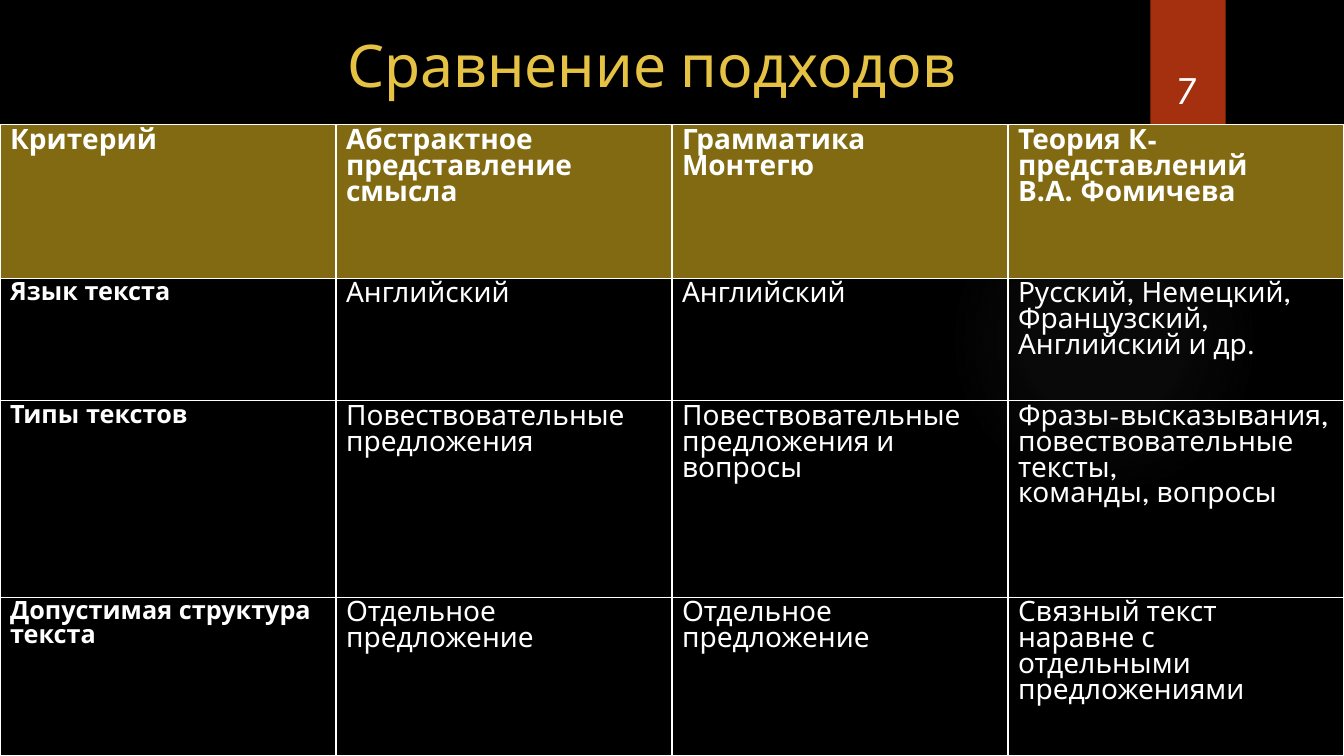
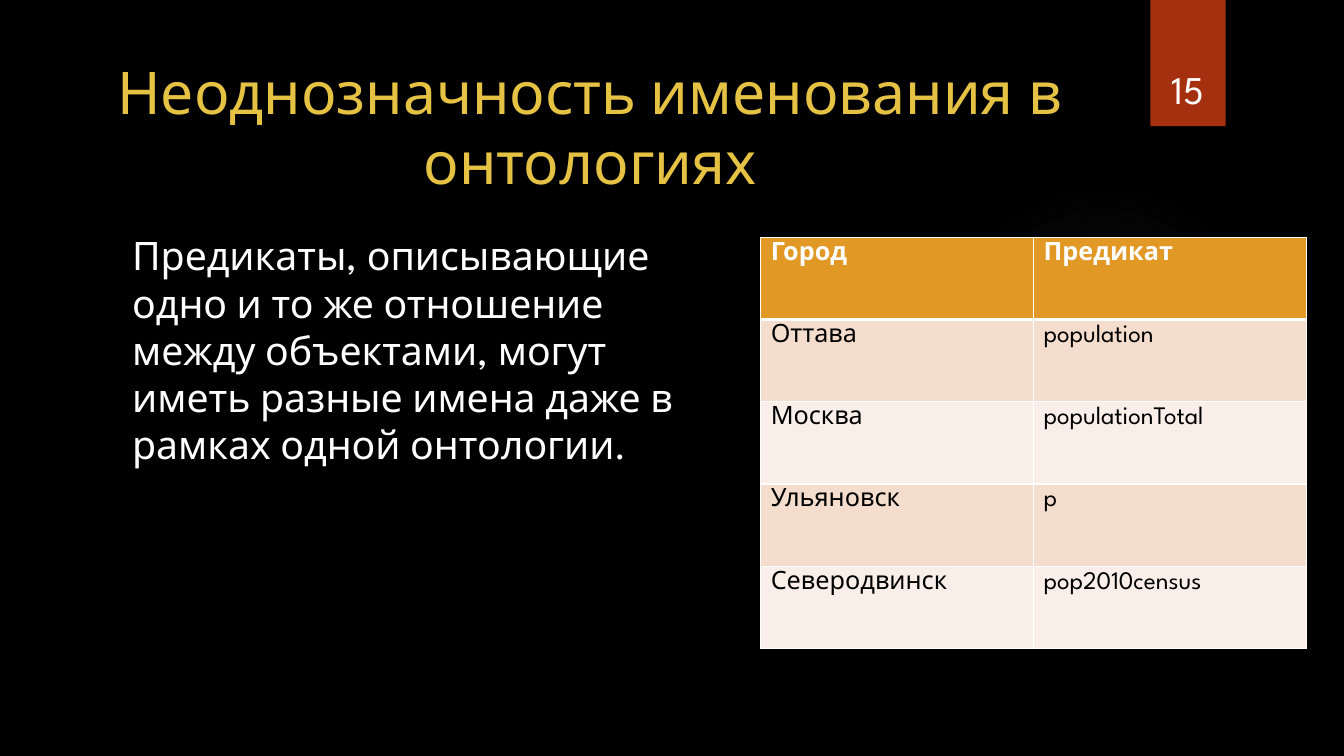
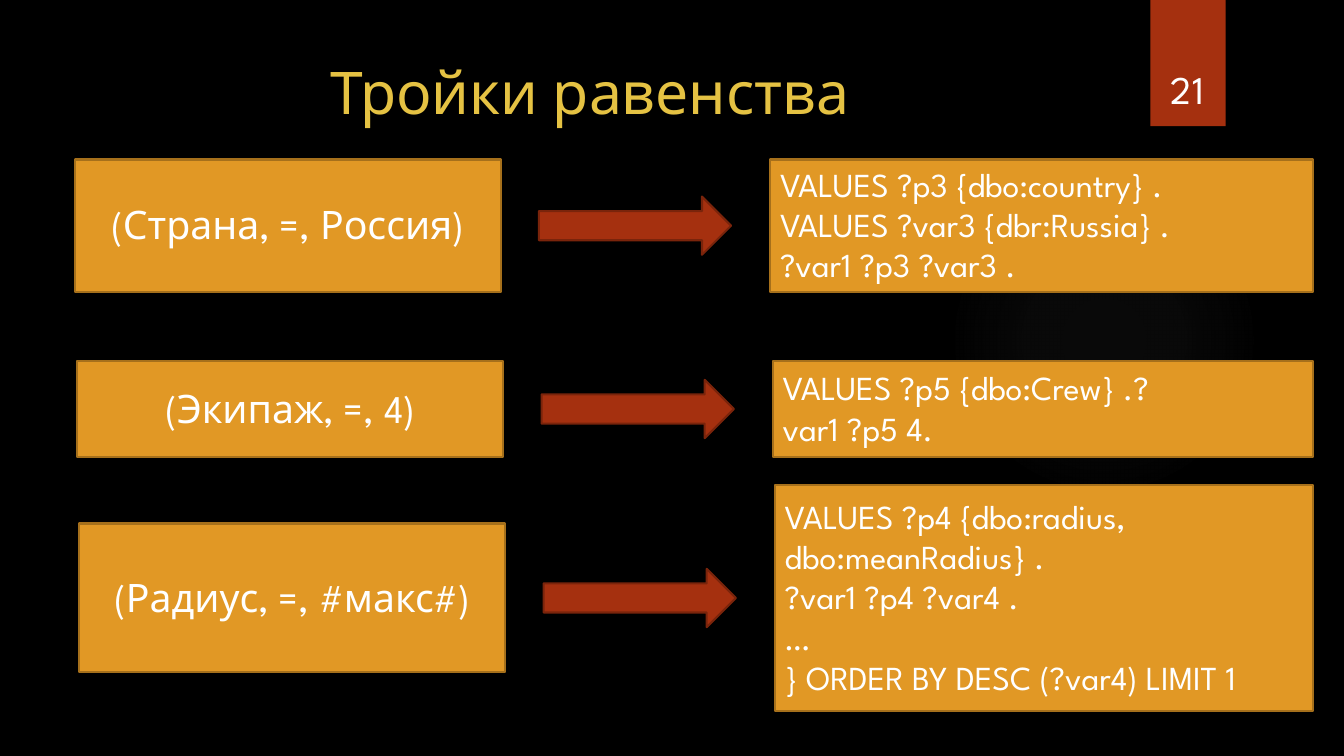
from lxml import etree
from pptx import Presentation
from pptx.dml.color import RGBColor
from pptx.enum.shapes import MSO_SHAPE as SHAPE
from pptx.enum.text import MSO_ANCHOR as ANCHOR, PP_ALIGN as ALIGN
from pptx.oxml.ns import qn
from pptx.util import Inches, Pt

FONT = "League Spartan"
COLORS = {
    "back": "000000", "text": "FFFFFF", "title": "E5C243", "glow": "848484",
    "red": "A5300F", "red_line": "7A240B", "amber": "E19825", "amber_line": "A6701B",
    "olive": "826A12", "dark_band": "F4DDCD", "light_band": "F9EFE8",
}


def rgb(name):
    return RGBColor.from_string(COLORS[name])


def write(frame, content, size=28, color="text", bold=False,
          align=ALIGN.LEFT, anchor=ANCHOR.TOP, before=None):
    """Fill a text frame; a newline starts a paragraph, a vertical tab breaks a line."""
    frame.word_wrap = True
    frame.vertical_anchor = anchor
    for index, line in enumerate(content.split("\n")):
        paragraph = frame.add_paragraph() if index else frame.paragraphs[0]
        paragraph.text = line
        paragraph.alignment = align
        paragraph.space_before = before
        for run in paragraph.runs:
            font = run.font
            font.name, font.size, font.bold = FONT, Pt(size), bold
            font.color.rgb = rgb(color)


def set_borders(cell, top=1, bottom=1):
    properties = cell._tc.get_or_add_tcPr()
    sides = (("a:lnL", 1), ("a:lnR", 1), ("a:lnT", top), ("a:lnB", bottom))
    for index, (side, width) in enumerate(sides):
        line = etree.Element(qn(side), w=str(Pt(width)))
        fill = etree.SubElement(line, qn("a:solidFill"))
        etree.SubElement(fill, qn("a:srgbClr"), val=COLORS["text"])
        properties.insert(index, line)


def set_glow(shape):
    """Replace the fill with a radial gradient that fades to transparent."""
    gradient = etree.Element(qn("a:gradFill"), rotWithShape="1")
    stops = etree.SubElement(gradient, qn("a:gsLst"))
    for position, alpha in ((0, 7), (36, 6), (69, 0)):
        stop = etree.SubElement(stops, qn("a:gs"), pos=str(position * 1000))
        color = etree.SubElement(stop, qn("a:srgbClr"), val=COLORS["glow"])
        etree.SubElement(color, qn("a:alpha"), val=str(alpha * 1000))
    radial = etree.SubElement(gradient, qn("a:path"), {"path": "circle"})
    etree.SubElement(radial, qn("a:fillToRect"), dict.fromkeys("ltrb", "50000"))
    solid = shape._element.spPr.find(qn("a:solidFill"))
    solid.getparent().replace(solid, gradient)


class Deck:
    """Holds the style and the current slide; lengths are percent of the slide's size."""

    def __init__(self):
        self.file = Presentation()
        self.file.slide_width, self.file.slide_height = Inches(13.33), Inches(7.5)
        self.slide = None

    def width(self, share):
        return round(self.file.slide_width * share / 100)

    def height(self, share):
        return round(self.file.slide_height * share / 100)

    def area(self, left, top, width, height):
        return self.width(left), self.height(top), self.width(width), self.height(height)

    def new_slide(self, title, title_area=(5.3, 6.65, 77.2, 20.4)):
        self.slide = self.file.slides.add_slide(self.file.slide_layouts[6])
        background = self.slide.background.fill
        background.solid()
        background.fore_color.rgb = rgb("back")
        set_glow(self.shape(SHAPE.OVAL, (70.6, 24.4, 23.1, 41.1), "glow"))
        self.shape(SHAPE.RECTANGLE, (85.6, 0, 5.6, 16.7), "red")
        self.text(title, title_area, size=42, color="title", align=ALIGN.CENTER)

    def number(self, value):
        self.text(str(value), (84.9, 4.3, 6.9, 11.2),
                  align=ALIGN.CENTER, anchor=ANCHOR.BOTTOM)

    def shape(self, preset, area, fill, line=None):
        shape = self.slide.shapes.add_shape(preset, *self.area(*area))
        shape.shadow.inherit = False
        shape.fill.solid()
        shape.fill.fore_color.rgb = rgb(fill)
        if line:
            shape.line.color.rgb = rgb(line)
            shape.line.width = Pt(1.5)
        else:
            shape.line.fill.background()
        return shape

    def text(self, content, area, **style):
        box = self.slide.shapes.add_textbox(*self.area(*area))
        write(box.text_frame, content, **style)

    def table(self, rows, area, heights, fills, style_of, header_rule=1):
        """style_of(row, column) gives the text format; a fill of None is transparent."""
        left, top, width = area
        table = self.slide.shapes.add_table(
            len(rows), len(rows[0]), *self.area(left, top, width, sum(heights))).table
        table.first_row = table.horz_banding = False
        for r, (contents, height, fill) in enumerate(zip(rows, heights, fills)):
            table.rows[r].height = self.height(height)
            for c, content in enumerate(contents):
                cell = table.cell(r, c)
                write(cell.text_frame, content, **style_of(r, c))
                if fill:
                    cell.fill.solid()
                    cell.fill.fore_color.rgb = rgb(fill)
                else:
                    cell.fill.background()
                set_borders(cell, top=header_rule if r == 1 else 1,
                            bottom=header_rule if r == 0 else 1)


def compare_approaches(deck):
    deck.new_slide("Сравнение подходов", (9.9, 3.1, 77.2, 11.3))
    criteria = [
        ("Критерий", "Абстрактное представление смысла", "Грамматика Монтегю",
         "Теория К-представлений \vВ.А. Фомичева"),
        ("Язык текста", "Английский", "Английский",
         "Русский, Немецкий, Французский, Английский и др."),
        ("Типы текстов", "Повествовательные предложения",
         "Повествовательные предложения и вопросы",
         "Фразы-высказывания, повествовательные тексты,\nкоманды, вопросы"),
        ("Допустимая структура текста", "Отдельное предложение", "Отдельное предложение",
         "Связный текст наравне с отдельными предложениями"),
    ]
    deck.table(criteria, (0, 16.5, 100), (20.3, 16.2, 26, 21), ("olive", None, None, None),
               lambda r, c: {"size": 18 if r and not c else 20, "bold": not (r and c)})
    deck.number(7)


def naming_ambiguity(deck):
    deck.new_slide("Неоднозначность именования в онтологиях")
    deck.text("Предикаты, описывающие одно и то же отношение между объектами, могут иметь "
              "разные имена даже в рамках одной онтологии.",
              (9.1, 30, 46.05, 61.2), before=Pt(10))
    predicates = [
        ("Город", "Предикат"), ("Оттава", "population"), ("Москва", "populationTotal"),
        ("Ульяновск", "p"), ("Северодвинск", "pop2010census"),
    ]
    deck.table(predicates, (56.6, 31.4, 40.6), [10.88] * len(predicates),
               ["amber"] + ["dark_band", "light_band"] * 2,
               lambda r, c: {"size": 18, "bold": r == 0, "color": "back" if r else "text"},
               header_rule=3)
    deck.number(15)


def equality_triples(deck):
    deck.new_slide("Тройки равенства")
    # triple, query, left shift, middle line, triple height, query height, query text width
    conversions = [
        ("(Страна, =, Россия)",
         "VALUES ?p3 {dbo:country} .\nVALUES ?var3 {dbr:Russia} .\n?var1 ?p3 ?var3 .",
         0, 29.85, 17.5, 17.5, 37),
        ("(Экипаж, =, 4)", "VALUES ?p5 {dbo:Crew} .?var1 ?p5 4.",
         0.2, 54.1, 12.7, 12.7, 32.3),
        ("(Радиус, =, #макс#)",
         "VALUES ?p4 {dbo:radius, dbo:meanRadius} .\n?var1 ?p4 ?var4 .\n…\n"
         "} ORDER BY DESC (?var4) LIMIT 1",
         0.35, 79.1, 19.7, 30, 40),
    ]
    right_edge, arrow_height, text_lift = 97.7, 7.7, 0.2
    for triple, query, shift, middle, triple_height, query_height, text_width in conversions:
        triple_left, triple_top = 5.55 + shift, middle - triple_height / 2
        query_left, query_top = 57.3 + shift, middle - query_height / 2
        deck.shape(SHAPE.RECTANGLE, (triple_left, triple_top, 31.7, triple_height),
                   "amber", "amber_line")
        deck.shape(SHAPE.RECTANGLE,
                   (query_left, query_top, right_edge - query_left, query_height),
                   "amber", "amber_line")
        deck.text(triple, (triple_left, triple_top - text_lift, 31.7, triple_height),
                  align=ALIGN.CENTER, anchor=ANCHOR.MIDDLE)
        deck.shape(SHAPE.RIGHT_ARROW,
                   (40.1 + shift, middle - arrow_height / 2, 14.3, arrow_height),
                   "red", "red_line")
        deck.text(query, (query_left, query_top - text_lift, text_width, query_height),
                  size=24, anchor=ANCHOR.MIDDLE)
    deck.number(21)


def main():
    deck = Deck()
    compare_approaches(deck)
    naming_ambiguity(deck)
    equality_triples(deck)
    deck.file.save("out.pptx")


if __name__ == "__main__":
    main()
